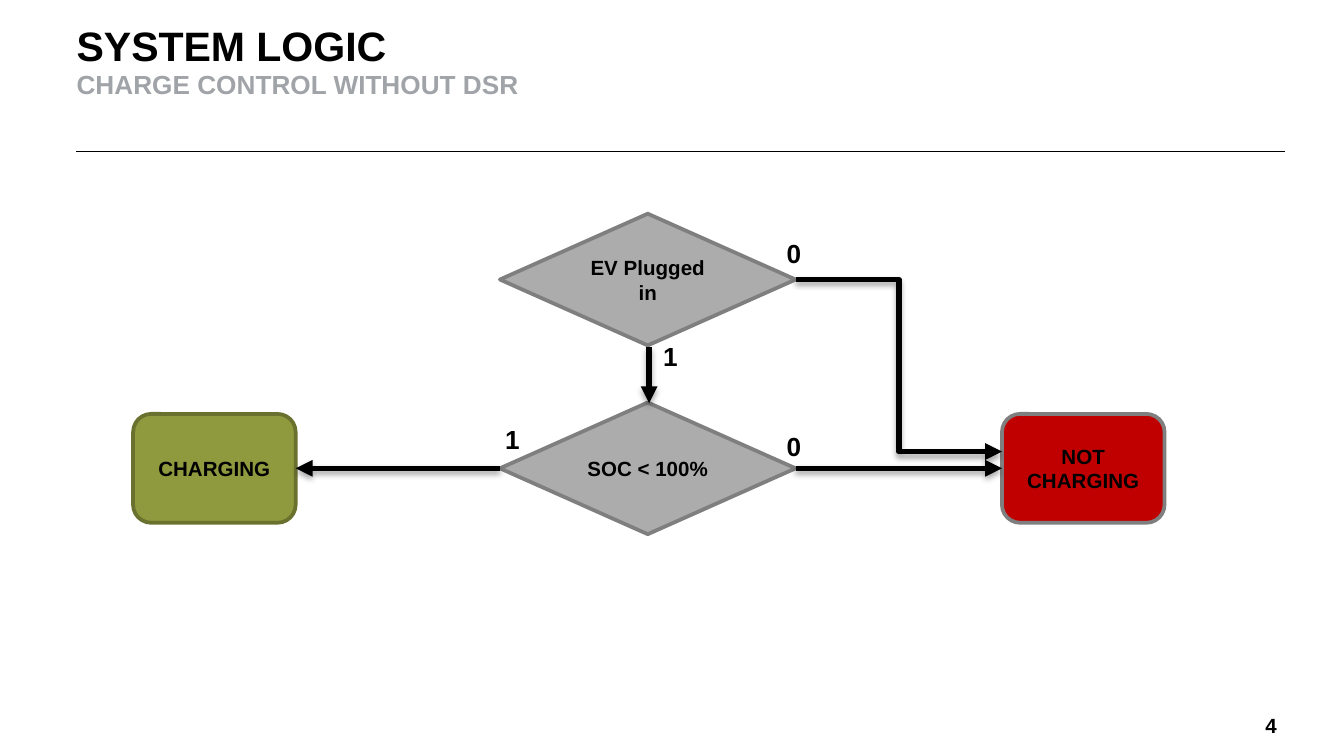
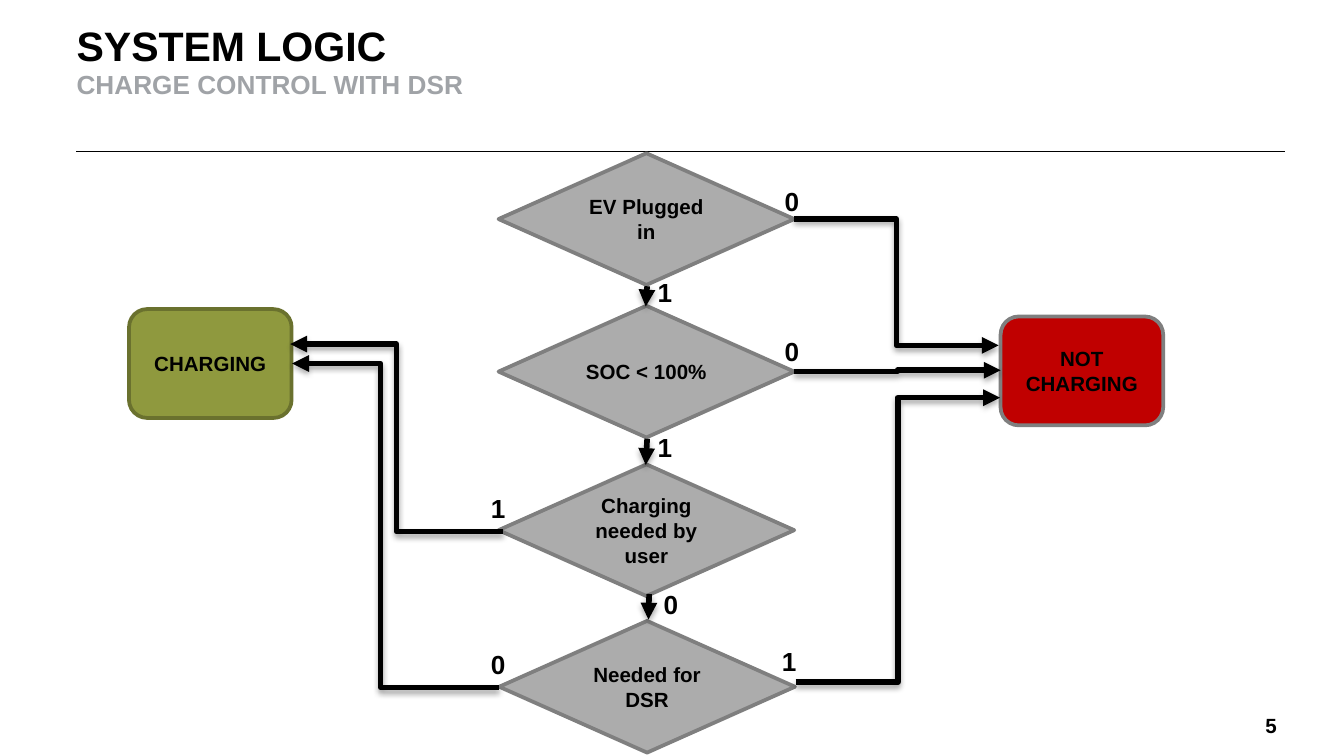
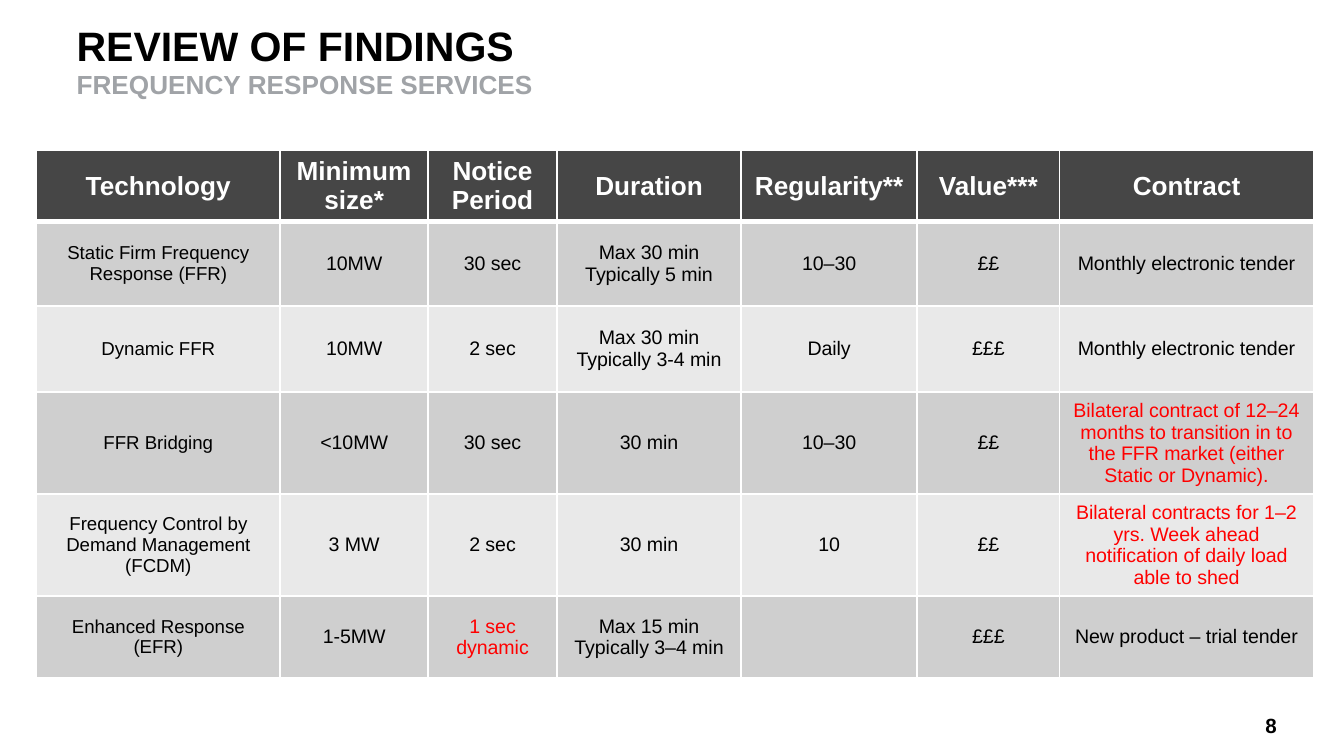
from lxml import etree
from pptx import Presentation
from pptx.dml.color import RGBColor
from pptx.enum.shapes import MSO_CONNECTOR, MSO_SHAPE
from pptx.enum.text import MSO_ANCHOR, PP_ALIGN
from pptx.oxml.ns import qn
from pptx.util import Inches, Pt

STRAIGHT, ELBOW = MSO_CONNECTOR.STRAIGHT, MSO_CONNECTOR.ELBOW
DIAMOND, ROUNDED = MSO_SHAPE.DIAMOND, MSO_SHAPE.ROUNDED_RECTANGLE
LEFT, CENTER, RIGHT = PP_ALIGN.LEFT, PP_ALIGN.CENTER, PP_ALIGN.RIGHT
TOP, MIDDLE = MSO_ANCHOR.TOP, MSO_ANCHOR.MIDDLE

BLACK = RGBColor(0x00, 0x00, 0x00)
WHITE = RGBColor(0xFF, 0xFF, 0xFF)
SUBTITLE_GRAY = RGBColor(0xA0, 0xA3, 0xA7)
DECISION_GRAY = RGBColor(0xAC, 0xAC, 0xAC)
OUTLINE_GRAY = RGBColor(0x7F, 0x7F, 0x7F)
GREEN = RGBColor(0x8F, 0x99, 0x3E)
DARK_GREEN = RGBColor(0x6A, 0x71, 0x2E)
STOP_RED = RGBColor(0xC0, 0x00, 0x00)
HEADER_GRAY = RGBColor(0x46, 0x46, 0x46)
BAND_DARK = RGBColor(0xCF, 0xCF, 0xCF)
BAND_LIGHT = RGBColor(0xE9, 0xE9, 0xE9)
NOTICE_RED = RGBColor(0xFF, 0x00, 0x00)

deck = Presentation()
deck.slide_width = Inches(10)
deck.slide_height = deck.slide_width * 9 // 16
UNIT = deck.slide_width / 100

NODE_STYLES = {
    "decision": (DIAMOND, 22, 9.8, DECISION_GRAY, OUTLINE_GRAY),
    "charging": (ROUNDED, 12.1, 8.1, GREEN, DARK_GREEN),
    "stopped": (ROUNDED, 12.1, 8.1, STOP_RED, OUTLINE_GRAY),
}

FLOWS = [
    {
        "nodes": [
            ("decision", 37.2, 15.9, "EV Plugged in"),
            ("decision", 37.2, 29.95, "SOC < 100%"),
            ("charging", 9.9, 30.8, "CHARGING"),
            ("stopped", 74.55, 30.8, "NOT CHARGING"),
        ],
        "links": [
            (STRAIGHT, 37.2, 34.85, 22, 34.85, 0.5),
            (STRAIGHT, 59.2, 34.85, 74.55, 34.85, 0.5),
            (STRAIGHT, 48.3, 25.8, 48.3, 30, 0.5),
            (ELBOW, 59.2, 20.8, 74.55, 33.6, 0.5),
        ],
        "labels": [("1", 48.35, 24.85), ("1", 36.6, 31), ("0", 57.55, 17.2), ("0", 57.55, 31.5)],
    },
    {
        "nodes": [
            ("decision", 37.1, 11.4, "EV Plugged in"),
            ("decision", 37.1, 22.75, "SOC < 100%"),
            ("charging", 9.6, 23, "CHARGING"),
            ("stopped", 74.45, 23.55, "NOT CHARGING"),
            ("decision", 37.1, 34.55, "Charging needed by user"),
            ("decision", 37.15, 46.2, "Needed for DSR"),
        ],
        "links": [
            (ELBOW, 59.1, 27.65, 74.45, 27.55, 0.5),
            (ELBOW, 59.1, 16.3, 74.3, 25.7, 0.5),
            (ELBOW, 59.2, 50.75, 74.4, 29.6, 0.5),
            (ELBOW, 37.15, 51.15, 21.75, 27.05, 0.573),
            (ELBOW, 37.4, 39.55, 21.6, 25.6, 0.5),
            (STRAIGHT, 48.15, 21.3, 48.05, 22.8, 0.5),
            (STRAIGHT, 48.15, 32.65, 48.05, 34.6, 0.5),
            (STRAIGHT, 48.3, 44.2, 48.25, 46.1, 0.5),
        ],
        "labels": [
            ("1", 47.95, 20.1), ("1", 47.95, 31.6), ("0", 48.4, 43.3),
            ("1", 35.55, 36.15), ("0", 35.55, 47.75),
            ("0", 57.4, 13.3), ("0", 57.4, 24.5), ("1", 57.2, 47.55),
        ],
    },
]

PAGES = [
    ("SYSTEM LOGIC", "CHARGE CONTROL WITHOUT DSR", "4", FLOWS[0]),
    ("SYSTEM LOGIC", "CHARGE CONTROL WITH DSR", "5", FLOWS[1]),
    ("REVIEW OF FINDINGS", "FREQUENCY RESPONSE SERVICES", "8", None),
]

COLUMN_WIDTHS = [18.15, 11, 9.6, 13.7, 13.1, 10.6, 18.9]
ROW_HEIGHTS = [4.2, 6.3, 6.4, 6.8, 6.1, 6.1]
CELL_MARGIN = Inches(0.03)
SERVICES = [
    ["Technology", "Minimum size*", "Notice Period", "Duration", "Regularity**", "Value***", "Contract"],
    ["Static Firm Frequency Response (FFR)", "10MW", "30 sec", "Max 30 min Typically 5 min",
     "10–30", "££", "Monthly electronic tender"],
    ["Dynamic FFR", "10MW", "2 sec", "Max 30 min Typically 3-4 min",
     "Daily", "£££", "Monthly electronic tender"],
    ["FFR Bridging", "<10MW", "30 sec", "30 min", "10–30", "££",
     "Bilateral contract of 12–24 months to transition in to the FFR market (either Static or Dynamic)."],
    ["Frequency Control by Demand Management (FCDM)", "3 MW", "2 sec", "30 min", "10", "££",
     "Bilateral contracts for 1–2 yrs. Week ahead notification of daily load able to shed"],
    ["Enhanced Response (EFR)", "1-5MW", "1 sec dynamic", "Max 15 min Typically 3–4 min",
     "", "£££", "New product – trial tender"],
]
HIGHLIGHTS = {(3, 6), (4, 6), (5, 2)}


def write(frame, spans, align=LEFT, anchor=TOP, margin=None, bold=True):
    frame.word_wrap = True
    frame.vertical_anchor = anchor
    if margin is not None:
        for side in ("left", "top", "right", "bottom"):
            setattr(frame, f"margin_{side}", margin)
    para = frame.paragraphs[0]
    para.alignment = align
    for index, (text, size, color) in enumerate(spans):
        if index:
            para.add_line_break()
        span = para.add_run()
        span.text = text
        for name, value in {"name": "Arial", "size": Pt(size), "bold": bold}.items():
            setattr(span.font, name, value)
        span.font.color.rgb = color
    return para


def connect(page, kind, ends, width):
    line = page.shapes.add_connector(kind, *[round(end * UNIT) for end in ends])
    line.line.color.rgb = BLACK
    line.line.width = Pt(width)
    properties = line._element.spPr
    return properties, etree.SubElement(properties, qn("a:effectLst"))


for title, subtitle, number, flow in PAGES:
    page = deck.slides.add_slide(deck.slide_layouts[6])
    connect(page, STRAIGHT, (95.6, 11.25, 5.65, 11.25), 0.5)
    box = page.shapes.add_textbox(*[round(length * UNIT) for length in (5.7, 1.8, 61.8, 7.9)])
    heading = write(box.text_frame, [(title, 22, BLACK), (subtitle, 14, SUBTITLE_GRAY)], margin=0)
    heading.line_spacing = 0.95
    box = page.shapes.add_textbox(*[round(length * UNIT) for length in (89.5, 53.15, 5.5, 1.7)])
    write(box.text_frame, [(number, 11, BLACK)], RIGHT, MIDDLE, 0)

    if flow:
        for kind, left, top, text in flow["nodes"]:
            preset, width, height, fill, outline = NODE_STYLES[kind]
            node = page.shapes.add_shape(preset, *[round(length * UNIT) for length in (left, top, width, height)])
            node.shadow.inherit = False
            node.fill.solid()
            node.fill.fore_color.rgb = fill
            node.line.color.rgb = outline
            node.line.width = Pt(2)
            write(node.text_frame, [(text, 11, BLACK)], CENTER, MIDDLE)

        for kind, *ends, bend in flow["links"]:
            properties, effects = connect(page, kind, ends, 3)
            etree.SubElement(properties.find(qn("a:ln")), qn("a:tailEnd"), type="triangle")
            shadow = etree.SubElement(effects, qn("a:outerShdw"), blurRad="40000", dist="23000",
                                      dir="5400000", rotWithShape="0")
            shade = etree.SubElement(shadow, qn("a:srgbClr"), val=str(BLACK))
            etree.SubElement(shade, qn("a:alpha"), val="35000")
            if kind == ELBOW:
                guides = properties.find(qn("a:prstGeom")).find(qn("a:avLst"))
                etree.SubElement(guides, qn("a:gd"), name="adj1", fmla=f"val {round(bend * 100000)}")

        for text, left, top in flow["labels"]:
            box = page.shapes.add_textbox(*[round(length * UNIT) for length in (left, top, 6.4, 3.4)])
            write(box.text_frame, [(text, 14, BLACK)])
    else:
        area = [round(length * UNIT) for length in (2.7, 11.2, sum(COLUMN_WIDTHS), sum(ROW_HEIGHTS))]
        table = page.shapes.add_table(len(SERVICES), len(COLUMN_WIDTHS), *area).table
        for column, width in zip(table.columns, COLUMN_WIDTHS):
            column.width = round(width * UNIT)
        for row, height in zip(table.rows, ROW_HEIGHTS):
            row.height = round(height * UNIT)
        for row, texts in enumerate(SERVICES):
            for column, text in enumerate(texts):
                cell = table.cell(row, column)
                for side in "LRTB":
                    thick = (row, side) in ((0, "B"), (1, "T"))
                    border = etree.SubElement(cell._tc.get_or_add_tcPr(), qn(f"a:ln{side}"),
                                              w=str(Pt(3 if thick else 1)))
                    paint = etree.SubElement(border, qn("a:solidFill"))
                    etree.SubElement(paint, qn("a:srgbClr"), val=str(WHITE))
                cell.fill.solid()
                cell.fill.fore_color.rgb = (BAND_DARK if row % 2 else BAND_LIGHT) if row else HEADER_GRAY
                cell.vertical_anchor = MIDDLE
                cell.margin_top = cell.margin_bottom = CELL_MARGIN
                size = (10.5 if column else 10) if row else 14
                color = NOTICE_RED if (row, column) in HIGHLIGHTS else BLACK if row else WHITE
                if text:
                    write(cell.text_frame, [(text, size, color)], CENTER, MIDDLE, bold=row == 0)

deck.save("out.pptx")
